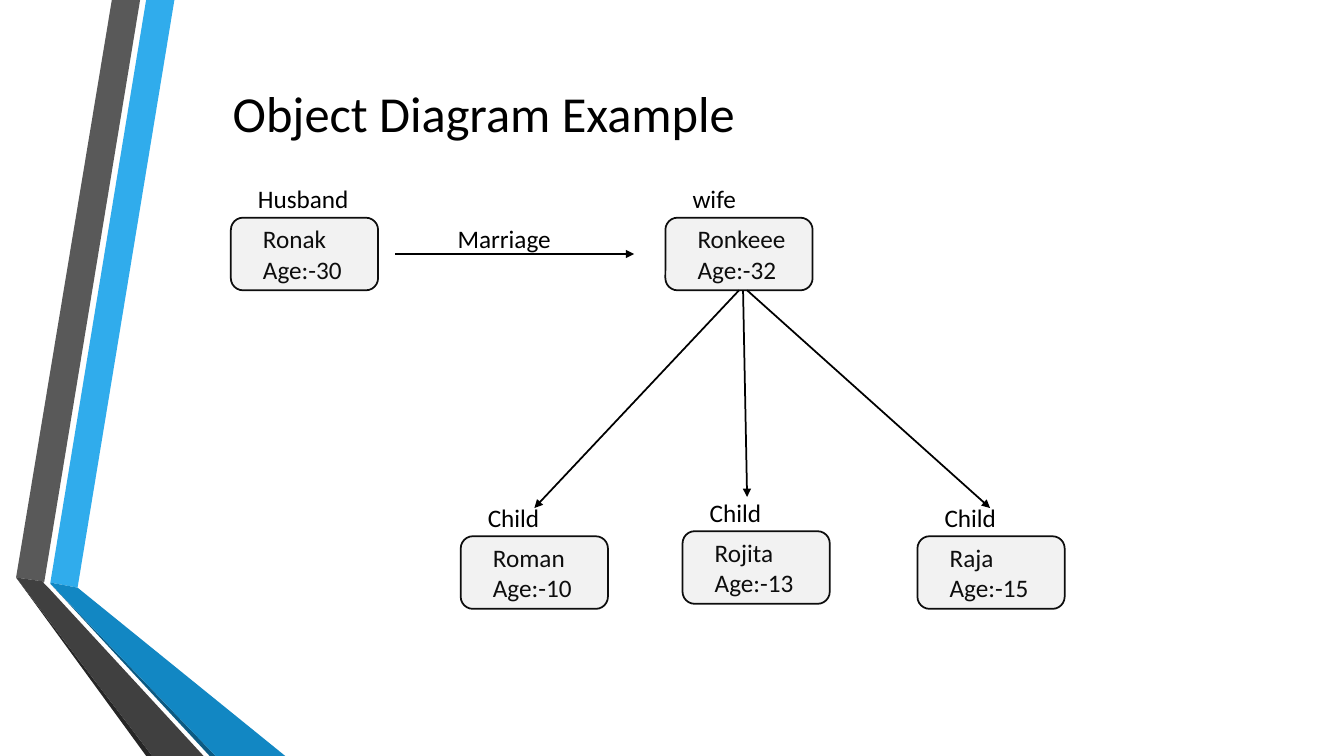
"""Builds a slide with an object diagram of a family."""
from dataclasses import dataclass
from typing import Any

from lxml.etree import SubElement
from pptx import Presentation
from pptx.dml.color import RGBColor
from pptx.enum.shapes import MSO_CONNECTOR, MSO_SHAPE
from pptx.enum.text import MSO_ANCHOR, MSO_AUTO_SIZE, PP_ALIGN
from pptx.oxml.ns import qn
from pptx.util import Emu, Pt

PX = 9144
BLACK = RGBColor(0x00, 0x00, 0x00)
INK = RGBColor(0x0D, 0x0D, 0x0D)
BOX_FILL = RGBColor(0xF2, 0xF2, 0xF2)
SKY = RGBColor(0x30, 0xAC, 0xEC)
BLUE = RGBColor(0x12, 0x87, 0xC3)
NAVY = RGBColor(0x0C, 0x5A, 0x82)
GREY = RGBColor(0x59, 0x59, 0x59)
CHARCOAL = RGBColor(0x40, 0x40, 0x40)
COAL = RGBColor(0x26, 0x26, 0x26)

BOX_W, BOX_H = 146, 72
LINE_W = Pt(1.25)
TITLE_FONT = {"name": "Calibri", "size": Pt(36)}
BODY_FONT = {"name": "Calibri", "size": Pt(18)}
TITLE_FRAME = {"vertical_anchor": MSO_ANCHOR.MIDDLE, "word_wrap": True,
               "auto_size": MSO_AUTO_SIZE.NONE}
LABEL_FRAME = {"word_wrap": False, "auto_size": MSO_AUTO_SIZE.SHAPE_TO_FIT_TEXT}


@dataclass(frozen=True)
class Ribbon:
    color: RGBColor
    points: tuple[tuple[int, int], ...]


@dataclass(frozen=True)
class Person:
    role: str
    name: str
    age: int
    x: int
    y: int
    role_w: int
    text_w: int


@dataclass(frozen=True)
class Arrow:
    x1: int
    y1: int
    x2: int
    y2: int


RIBBONS = (
    Ribbon(SKY, ((50, 578), (77, 583), (173, 0), (145, 0))),
    Ribbon(GREY, ((139, 0), (111, 0), (16, 573), (44, 577))),
    Ribbon(COAL, ((16, 573), (145, 750), (151, 750))),
    Ribbon(NAVY, ((50, 579), (208, 750), (214, 750))),
    Ribbon(BLUE, ((50, 579), (214, 750), (283, 750), (77, 583), (50, 578))),
    Ribbon(CHARCOAL, ((202, 750), (48, 583), (43, 578), (44, 577), (16, 573), (151, 750))),
)
HUSBAND = Person("Husband", "Ronak", 30, 229, 216, 113, 102)
WIFE = Person("wife", "Ronkeee", 32, 660, 216, 65, 113)
CHILDREN = (
    Person("Child", "Roman", 10, 457, 532, 74, 102),
    Person("Child", "Rojita", 13, 677, 527, 74, 99),
    Person("Child", "Raja", 15, 910, 532, 74, 101),
)
MARRIAGE = Arrow(392, 252, 629, 252)
TO_ROMAN = Arrow(733, 288, 530, 504)
TO_ROJITA = Arrow(737, 288, 741, 493)
TO_RAJA = Arrow(741, 288, 982, 504)


def px(*values: int) -> list[Emu]:
    return [Emu(v * PX) for v in values]


def set_format(target: Any, values: dict[str, Any]) -> None:
    for key, value in values.items():
        setattr(target, key, value)


def write(p: Any, text: str, font: dict[str, Any], color: RGBColor) -> None:
    r = p.add_run()
    r.text = text
    set_format(r.font, font)
    r.font.color.rgb = color


def add_ribbon(shapes: Any, ribbon: Ribbon) -> None:
    start, *rest = ribbon.points
    builder = shapes.build_freeform(*start, scale=PX)
    builder.add_line_segments(rest, close=True)
    sp = builder.convert_to_shape()
    sp.shadow.inherit = False
    sp.fill.solid()
    sp.fill.fore_color.rgb = ribbon.color
    sp.line.fill.background()


def add_label(shapes: Any, lines: tuple[str, ...], x: int, y: int, w: int, h: int,
              color: RGBColor = BLACK) -> None:
    tf = shapes.add_textbox(*px(x, y, w, h)).text_frame
    set_format(tf, LABEL_FRAME)
    for i, line in enumerate(lines):
        p = tf.add_paragraph() if i else tf.paragraphs[0]
        write(p, line, BODY_FONT, color)


def add_person(shapes: Any, person: Person) -> Any:
    group = shapes.add_group_shape().shapes
    box = group.add_shape(MSO_SHAPE.FLOWCHART_ALTERNATE_PROCESS,
                          *px(person.x, person.y, BOX_W, BOX_H))
    box.shadow.inherit = False
    box.fill.solid()
    box.fill.fore_color.rgb = BOX_FILL
    box.line.color.rgb = INK
    box.line.width = LINE_W
    add_label(group, (person.name, f"Age:-{person.age}"),
              person.x + 22, person.y + 1, person.text_w, 71, INK)
    add_label(group, (person.role,), person.x + 17, person.y - 39, person.role_w, 40)
    return box


def add_arrow(shapes: Any, arrow: Arrow) -> Any:
    line = shapes.add_connector(MSO_CONNECTOR.STRAIGHT,
                                *px(arrow.x1, arrow.y1, arrow.x2, arrow.y2))
    line.line.color.rgb = BLACK
    line.line.width = LINE_W
    SubElement(line.line._get_or_add_ln(), qn("a:tailEnd"), type="triangle")
    SubElement(line._element.spPr, qn("a:effectLst"))
    return line


def add_title(s: Any, text: str) -> None:
    title = s.shapes.title
    box = dict(zip(("left", "top", "width", "height"), px(162, 75, 636, 73)))
    set_format(title, box)
    set_format(title.text_frame, TITLE_FRAME)
    p = title.text_frame.paragraphs[0]
    p.alignment = PP_ALIGN.CENTER
    write(p, text, TITLE_FONT, BLACK)


def main() -> None:
    prs = Presentation()
    prs.slide_width, prs.slide_height = px(1333, 750)
    s = prs.slides.add_slide(prs.slide_layouts[5])
    for ribbon in RIBBONS:
        add_ribbon(s.shapes, ribbon)
    add_title(s, "Object Diagram Example")
    add_person(s.shapes, HUSBAND)
    wife_box = add_person(s.shapes, WIFE)
    add_arrow(s.shapes, MARRIAGE)
    add_label(s.shapes, ("Marriage",), 444, 217, 114, 40)
    add_arrow(s.shapes, TO_RAJA)
    add_arrow(s.shapes, TO_ROMAN).begin_connect(wife_box, 2)
    add_arrow(s.shapes, TO_ROJITA)
    for child in CHILDREN:
        add_person(s.shapes, child)
    prs.save("out.pptx")


if __name__ == "__main__":
    main()
